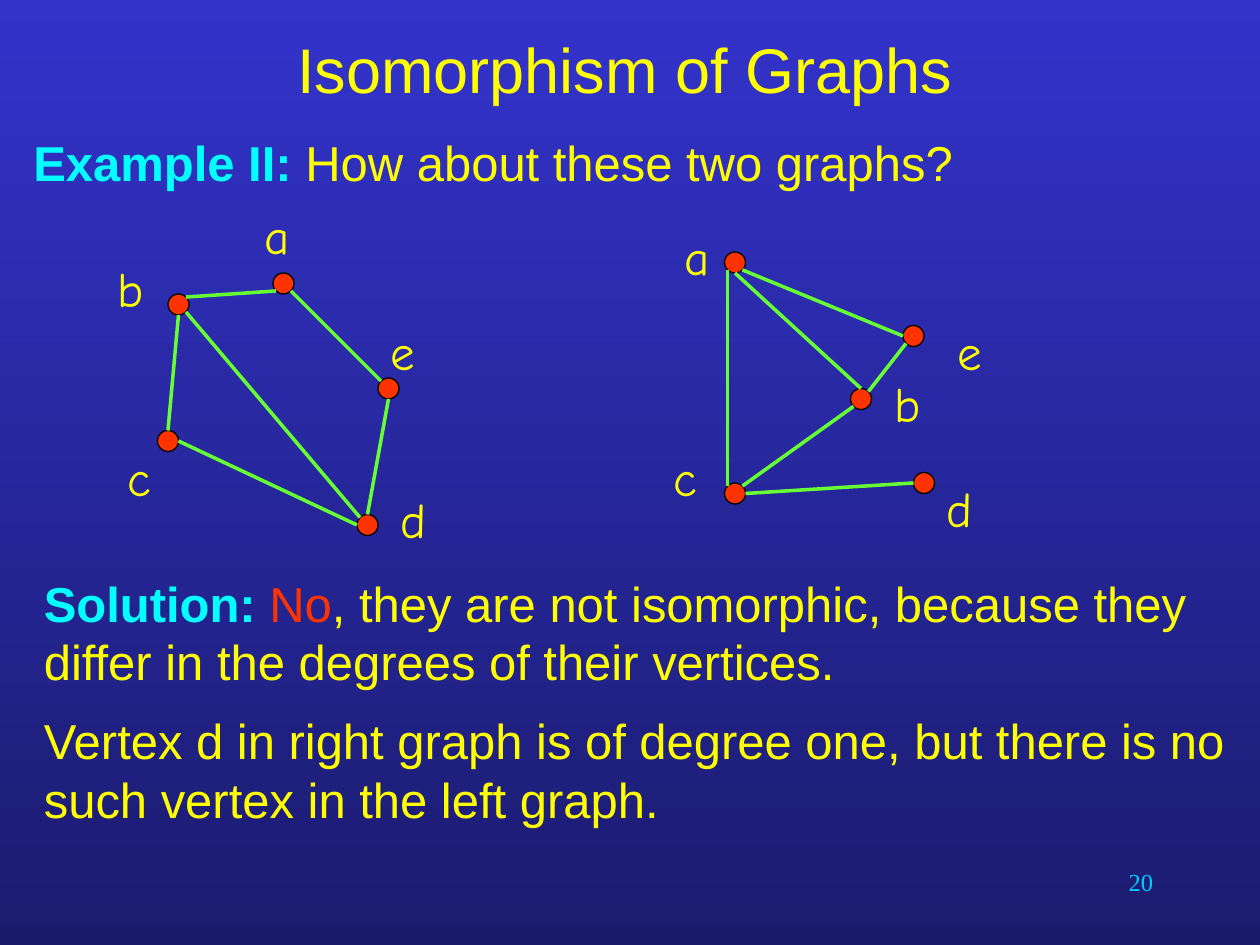
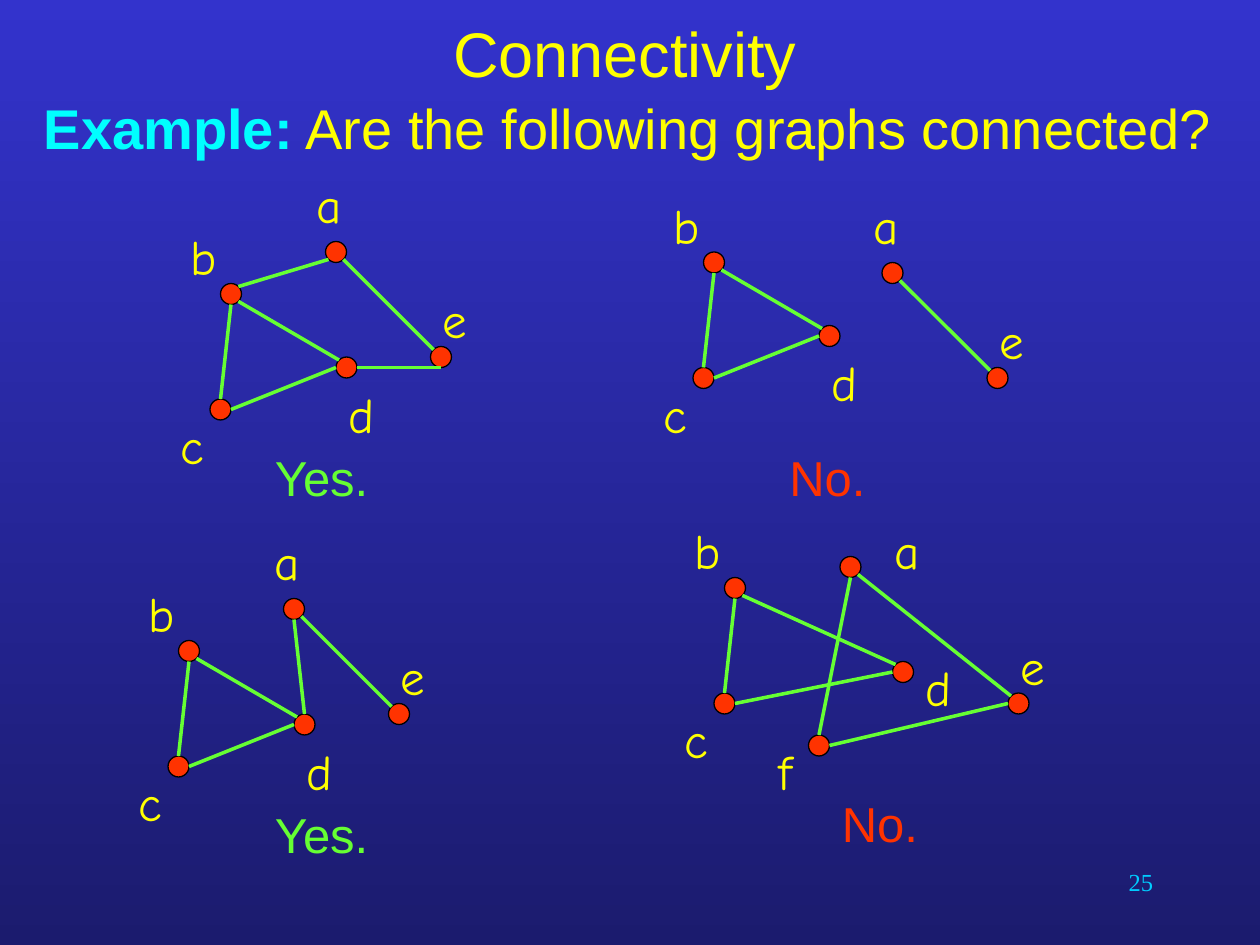
from lxml.etree import SubElement
from pptx import Presentation
from pptx.dml.color import RGBColor
from pptx.enum.shapes import MSO_CONNECTOR, MSO_SHAPE
from pptx.enum.text import MSO_ANCHOR, PP_ALIGN
from pptx.oxml.ns import qn
from pptx.util import Cm, Pt

CELL = 2.54 / 12
YELLOW, CYAN, RED, GREEN = "FFFF00", "00FFFF", "FF3300", "66FF33"
DIAGONAL = 0.71
SITES = {
    "n": (0, -1), "s": (0, 1), "w": (-1, 0), "e": (1, 0),
    "nw": (-DIAGONAL, -DIAGONAL), "ne": (DIAGONAL, -DIAGONAL),
    "sw": (-DIAGONAL, DIAGONAL), "se": (DIAGONAL, DIAGONAL),
}
LABEL_WIDTHS = {"b": 4, "c": 5, "f": 5}


def color(value):
    return RGBColor.from_string(value)


def add_text(shapes, box, paragraphs, size, font="Arial", align=PP_ALIGN.LEFT,
             anchor=MSO_ANCHOR.TOP, line_spacing=None):
    shape = shapes.add_textbox(*(Cm(value * CELL) for value in box))
    frame = shape.text_frame
    frame.word_wrap = True
    frame.vertical_anchor = anchor
    for index, runs in enumerate(paragraphs):
        paragraph = frame.add_paragraph() if index else frame.paragraphs[0]
        paragraph.alignment = align
        paragraph.line_spacing = line_spacing
        paragraph.space_after = Pt(11.5)
        for text, text_color in runs:
            run = paragraph.add_run()
            run.text = text
            run.font.name = font
            run.font.size = Pt(size)
            run.font.bold = text_color == CYAN
            run.font.color.rgb = color(text_color)


slides = [
    {
        "title": "Isomorphism of Graphs", "title_height": 13, "number": "20",
        "question": [("Example II:", CYAN), (" How about these two graphs?", YELLOW)],
        "question_box": (2, 12, 116, 7), "question_size": 28, "line_spacing": None,
        "graphs": [
            ({"a": (26, 26, 24, 19), "b": (16, 28, 10, 24), "c": (15, 41, 11, 42),
              "d": (34, 49, 37, 46), "e": (36, 36, 36, 30)},
             "dn-es dw-ce cn-bs bne-asw ase-enw bse-dnw"),
            ({"a": (69, 24, 64, 21), "b": (81, 37, 84, 35), "c": (69, 46, 63, 42),
              "d": (87, 45, 89, 45), "e": (86, 31, 90, 30)},
             "ce-dw cne-bsw bn-as ase-ew esw-bne asw-cnw"),
        ],
        "answers": [
            ((3, 54, 115, 24), [
                [("Solution: ", CYAN), ("No", RED),
                 (", they are not isomorphic, because they differ in the degrees "
                  "of their vertices.", YELLOW)],
                [("Vertex d in right graph is of degree one, but there is no such "
                  "vertex in the left graph.", YELLOW)],
            ]),
        ],
    },
    {
        "title": "Connectivity", "title_height": 10, "number": "25",
        "question": [("Example:", CYAN), (" Are the following graphs connected?", YELLOW)],
        "question_box": (3, 9, 115, 7), "question_size": 32, "line_spacing": 0.9,
        "graphs": [
            ({"a": (31, 23, 29, 16), "b": (21, 27, 17, 21), "c": (20, 38, 16, 39),
              "d": (32, 34, 32, 36), "e": (41, 33, 41, 27)},
             "de-es dw-ce cn-bs bne-asw ase-enw bse-dnw"),
            ({"a": (84, 25, 82, 18), "b": (67, 24, 63, 18), "c": (66, 35, 62, 36),
              "d": (78, 31, 78, 33), "e": (94, 35, 94, 29)},
             "dw-ce cn-bs ase-enw bse-dnw"),
            ({"a": (27, 57, 25, 50), "b": (17, 61, 13, 55), "c": (16, 72, 12, 73),
              "d": (28, 68, 28, 70), "e": (37, 67, 37, 61)},
             "dw-ce cn-bs ase-enw bse-dnw dn-as"),
            ({"a": (80, 53, 84, 49), "b": (69, 55, 65, 49), "c": (68, 66, 64, 67),
              "d": (85, 63, 87, 62), "e": (96, 66, 96, 60), "f": (77, 70, 73, 70)},
             "dw-ce cn-bs ase-enw bse-dnw fn-as fe-ew"),
        ],
        "answers": [
            ((25, 42, 12, 7), [[("Yes.", GREEN)]]),
            ((74, 42, 12, 7), [[("No.", RED)]]),
            ((25, 76, 12, 7), [[("Yes.", GREEN)]]),
            ((79, 75, 12, 7), [[("No.", RED)]]),
        ],
    },
]

presentation = Presentation()
presentation.slide_width = Cm(25.4)
presentation.slide_height = Cm(19.05)

background = presentation.slide_master.background.fill
background.gradient()
background.gradient_angle = 270
for stop, stop_color in zip(background.gradient_stops, ("3333CC", "1B1B6E")):
    stop.color.rgb = color(stop_color)
    stop.position = 0 if stop_color == "3333CC" else 1

for content in slides:
    slide = presentation.slides.add_slide(presentation.slide_layouts[6])
    add_text(slide.shapes, (86, 82, 25, 6), [[(content["number"], "00CCFF")]], 14,
             font="Times New Roman", align=PP_ALIGN.RIGHT)
    add_text(slide.shapes, (3, 0, 113, content["title_height"]),
             [[(content["title"], YELLOW)]], 36,
             align=PP_ALIGN.CENTER, anchor=MSO_ANCHOR.MIDDLE)
    add_text(slide.shapes, content["question_box"], [content["question"]],
             content["question_size"], line_spacing=content["line_spacing"])

    for vertices, edges in content["graphs"]:
        group = slide.shapes.add_group_shape()
        for name, (left, top, label_left, label_top) in vertices.items():
            vertex = group.shapes.add_shape(
                MSO_SHAPE.FLOWCHART_CONNECTOR,
                Cm(left * CELL), Cm(top * CELL), Cm(2 * CELL), Cm(2 * CELL))
            vertex.shadow.inherit = False
            vertex.fill.solid()
            vertex.fill.fore_color.rgb = color(RED)
            vertex.line.color.rgb = color("000000")
            vertex.line.width = Pt(0.75)
            add_text(group.shapes,
                     (label_left, label_top, LABEL_WIDTHS.get(name, 8), 6.8),
                     [[(name, YELLOW)]], 28, font="Comic Neue")
        for edge in edges.split():
            ends = []
            for end in edge.split("-"):
                left, top = vertices[end[0]][:2]
                across, down = SITES[end[1:]]
                ends += [Cm((left + 1 + across) * CELL), Cm((top + 1 + down) * CELL)]
            connector = group.shapes.add_connector(MSO_CONNECTOR.STRAIGHT, *ends)
            connector.line.color.rgb = color(GREEN)
            connector.line.width = Pt(2)
            SubElement(connector._element.spPr, qn("a:effectLst"))

    for box, paragraphs in content["answers"]:
        add_text(slide.shapes, box, paragraphs, 28)

presentation.save("out.pptx")
